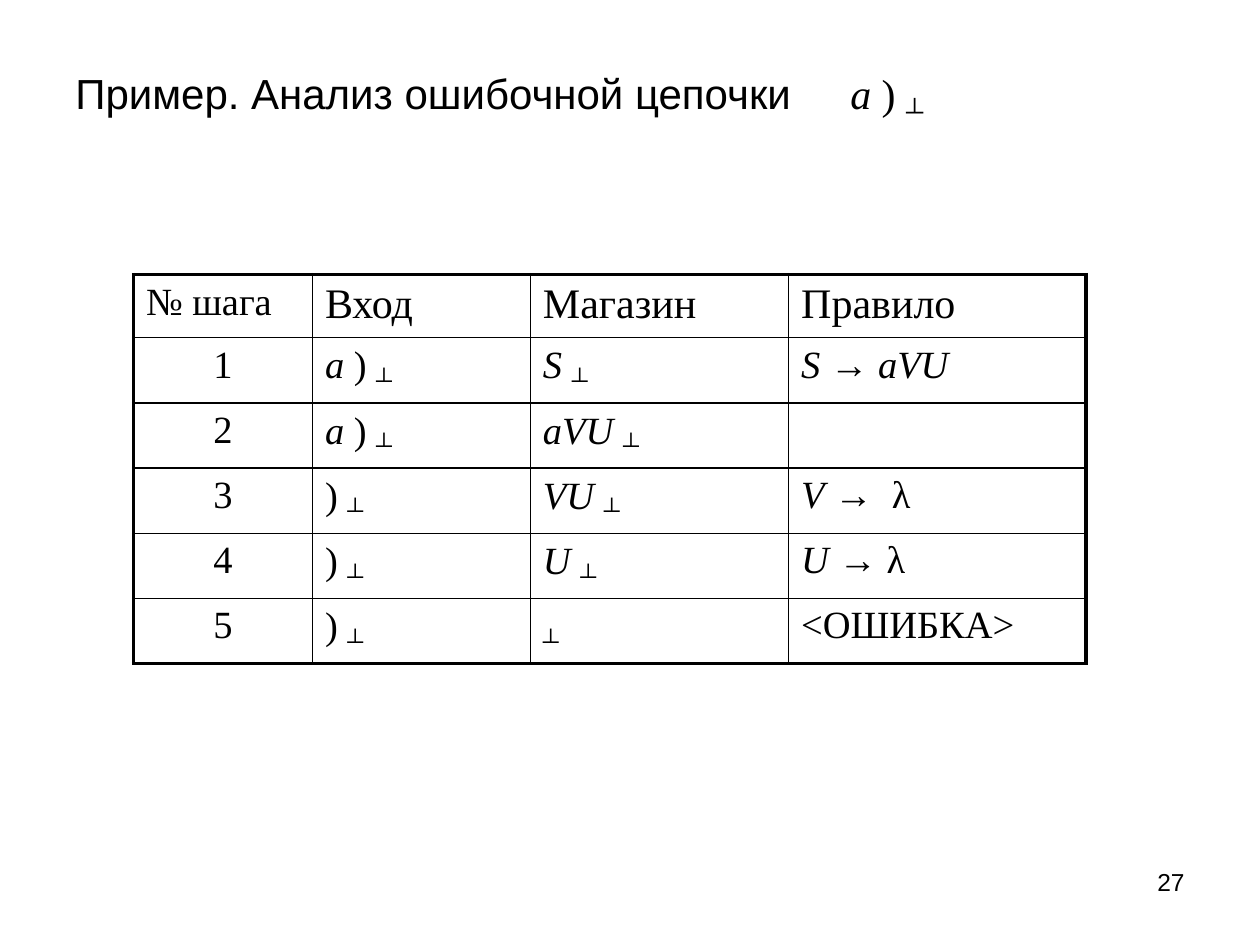
"""Slide with a step-by-step parse of an erroneous string."""
from itertools import groupby

from lxml.etree import SubElement
from pptx import Presentation
from pptx.dml.color import RGBColor
from pptx.enum.text import MSO_ANCHOR, PP_ALIGN
from pptx.oxml.ns import qn
from pptx.util import Inches, Pt

COLORS = {"ink": "000000"}
INK = RGBColor.from_string(COLORS["ink"])
SERIF, SANS = "Times New Roman", "Arial"


def add_formula(p, text, size):
    p.font.size = Pt(size)
    p.font.name = SERIF
    p.font.color.rgb = INK
    for (italic, subscript), chars in groupby(
        text, lambda c: (c.isascii() and c.isalpha(), c == "┴")
    ):
        r = p.add_run()
        r.text = "".join(chars)
        r.font.size = Pt(size)
        r.font.name = SANS if subscript else SERIF
        r.font.italic = italic
        r.font.color.rgb = INK
        if subscript:
            r._r.get_or_add_rPr().set("baseline", "-25000")


def add_border(cell, side, width):
    ln = SubElement(cell._tc.get_or_add_tcPr(), qn(f"a:ln{side}"), w=str(Pt(width)))
    fill = SubElement(ln, qn("a:solidFill"))
    SubElement(fill, qn("a:srgbClr"), val=COLORS["ink"])


prs = Presentation()
prs.slide_width, prs.slide_height = Inches(10), Inches(7.5)
s = prs.slides.add_slide(prs.slide_layouts[6])

title = s.shapes.add_textbox(Inches(0.5), Inches(0), Inches(9), Inches(1.39))
tf = title.text_frame
tf.word_wrap = True
tf.vertical_anchor = MSO_ANCHOR.MIDDLE
tf.margin_top = Inches(0.19)
p = tf.paragraphs[0]
tabs = SubElement(p._p.get_or_add_pPr(), qn("a:tabLst"))
SubElement(tabs, qn("a:tab"), pos=str(Inches(6.15)), algn="l")
r = p.add_run()
r.text = "Пример. Анализ ошибочной цепочки\t"
r.font.size = Pt(24)
r.font.name = SANS
r.font.color.rgb = INK
add_formula(p, "a ) ┴", 24)

ROWS = [
    ["№ шага", "Вход", "Магазин", "Правило"],
    ["1", "a ) ┴", "S ┴", "S → aVU"],
    ["2", "a ) ┴", "aVU ┴", ""],
    ["3", ") ┴", "VU ┴", "V →  λ"],
    ["4", ") ┴", "U ┴", "U → λ"],
    ["5", ") ┴", "┴", "<ОШИБКА>"],
]
WIDTHS = [1.42, 1.73, 2.05, 2.36]
last_row, last_col = len(ROWS) - 1, len(WIDTHS) - 1

table = s.shapes.add_table(
    len(ROWS), len(WIDTHS), Inches(1.06), Inches(2.18), Inches(7.56), Inches(2.85)
).table
table.first_row = table.horz_banding = False
for col, width in zip(table.columns, WIDTHS):
    col.width = Inches(width)
for i, row in enumerate(ROWS):
    table.rows[i].height = Inches(0.47 if i else 0.5)
    for j, text in enumerate(row):
        cell = table.cell(i, j)
        outer = {"L": j == 0, "R": j == last_col, "T": i == 0, "B": i == last_row}
        for side, is_outer in outer.items():
            add_border(cell, side, 2.25 if is_outer else 1)
        cell.fill.background()
        p = cell.text_frame.paragraphs[0]
        if i and j == 0:
            p.alignment = PP_ALIGN.CENTER
        add_formula(p, text, 24 if i == 0 and j else 22)

number = s.shapes.add_textbox(Inches(7.17), Inches(6.83), Inches(2.33), Inches(0.52))
tf = number.text_frame
tf.word_wrap = True
p = tf.paragraphs[0]
p.text = "27"
p.alignment = PP_ALIGN.RIGHT
p.font.size = Pt(14)
p.font.name = SANS
p.font.color.rgb = INK

prs.save("out.pptx")
